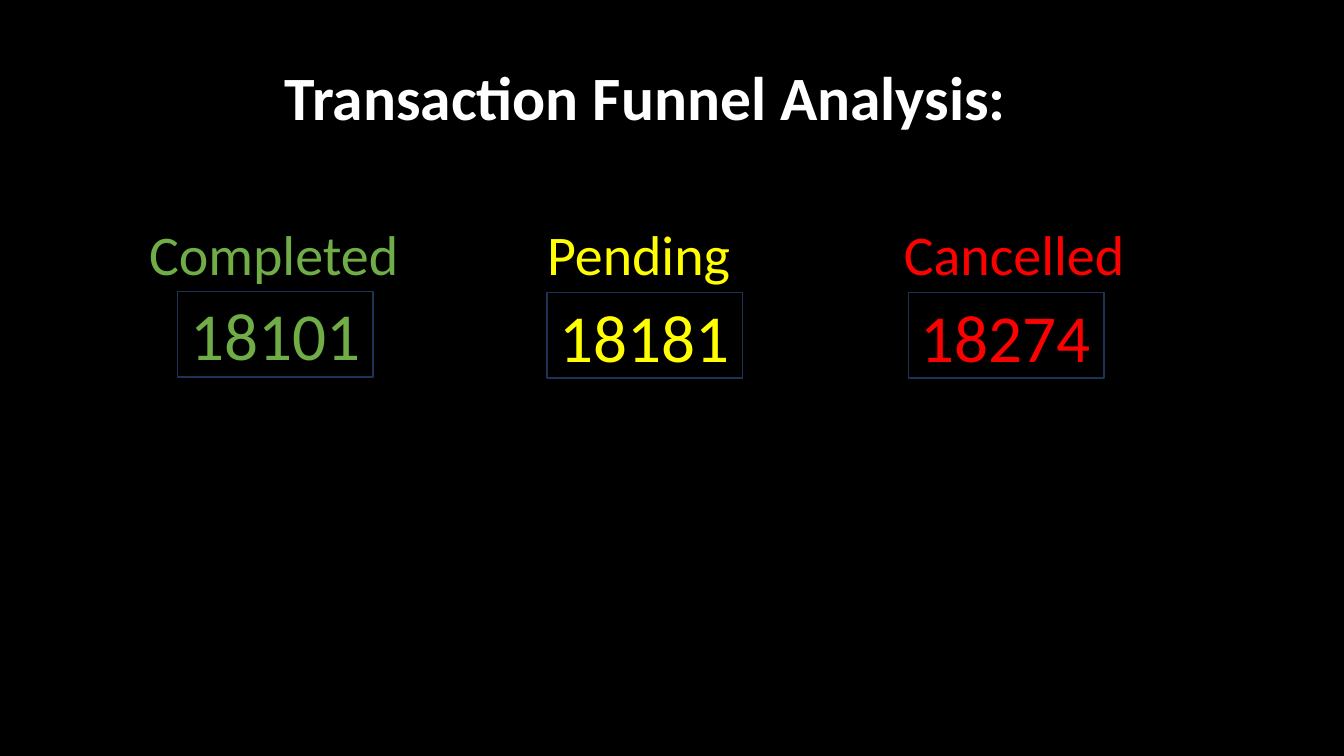
from pptx import Presentation
from pptx.dml.color import RGBColor
from pptx.enum.shapes import MSO_SHAPE
from pptx.enum.text import MSO_ANCHOR, MSO_AUTO_SIZE, PP_ALIGN
from pptx.util import Cm, Pt

FONT = "Calibri"
COLORS = {
    "background": "000000",
    "title": "FFFFFF",
    "border": "1E3256",
    "completed": "70AD47",
    "pending": "FFFF00",
    "cancelled": "FF0000",
}

# label, count, colour, label left, label width, box left, box top (cm)
STAGES = [
    ("Completed", "18101", "completed", 3.51, 6.86, 4.47, 7.34),
    ("Pending", "18181", "pending", 13.54, 5.16, 13.79, 7.37),
    ("Cancelled", "18274", "cancelled", 22.53, 6.12, 22.89, 7.37),
]


def rgb(name):
    """Return the named colour."""
    return RGBColor.from_string(COLORS[name])


def write(tf, text, size, color, bold=False):
    """Put one styled paragraph into a text frame and return it."""
    p = tf.paragraphs[0]
    p.text = text
    p.font.name = FONT
    p.font.size = Pt(size)
    p.font.bold = bold
    p.font.color.rgb = rgb(color)
    return p


def add_text(s, box, text, size, color, bold=False, wrap=False):
    """Add a text box that grows with its text."""
    tf = s.shapes.add_textbox(*map(Cm, box)).text_frame
    tf.word_wrap = wrap
    tf.auto_size = MSO_AUTO_SIZE.SHAPE_TO_FIT_TEXT
    write(tf, text, size, color, bold)


def add_count(s, left, top, text, color):
    """Add an outlined box with a centred count."""
    sp = s.shapes.add_shape(MSO_SHAPE.RECTANGLE, Cm(left), Cm(top), Cm(4.93), Cm(2.16))
    sp.shadow.inherit = False
    sp.fill.solid()
    sp.fill.fore_color.rgb = rgb("background")
    sp.line.color.rgb = rgb("border")
    sp.line.width = Pt(1)
    tf = sp.text_frame
    tf.word_wrap = True
    tf.vertical_anchor = MSO_ANCHOR.MIDDLE
    write(tf, text, 48, color).alignment = PP_ALIGN.CENTER


def main():
    """Build the transaction funnel slide."""
    prs = Presentation()
    prs.slide_width, prs.slide_height = Cm(33.87), Cm(19.05)
    s = prs.slides.add_slide(prs.slide_layouts[6])
    s.background.fill.solid()
    s.background.fill.fore_color.rgb = rgb("background")

    add_text(s, (6.93, 1.37, 20.27, 2.13), "Transaction Funnel Analysis:",
             44, "title", bold=True, wrap=True)
    for label, count, color, label_left, label_width, box_left, box_top in STAGES:
        add_text(s, (label_left, 5.41, label_width, 1.96), label, 40, color)
        add_count(s, box_left, box_top, count, color)
    prs.save("out.pptx")


main()
